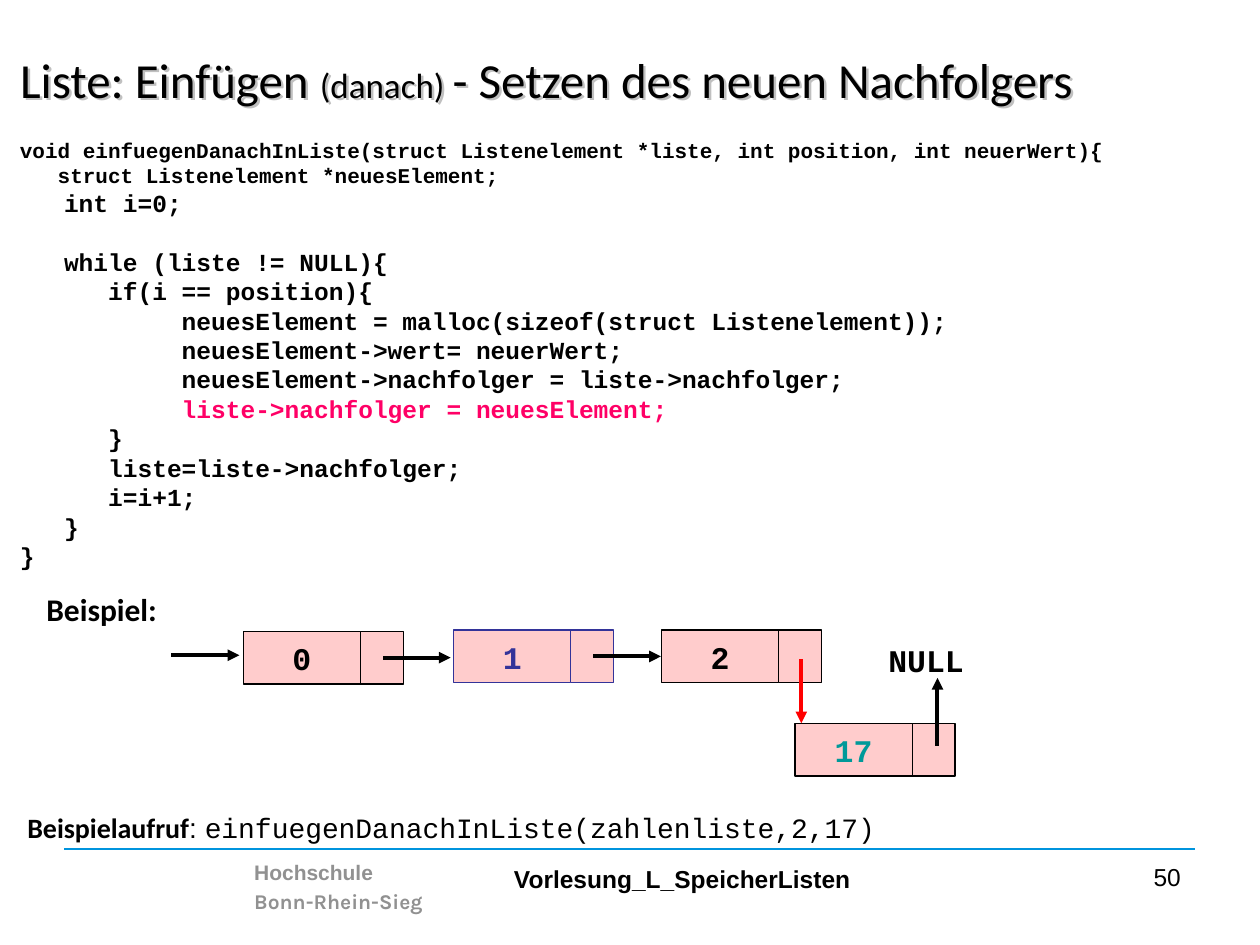
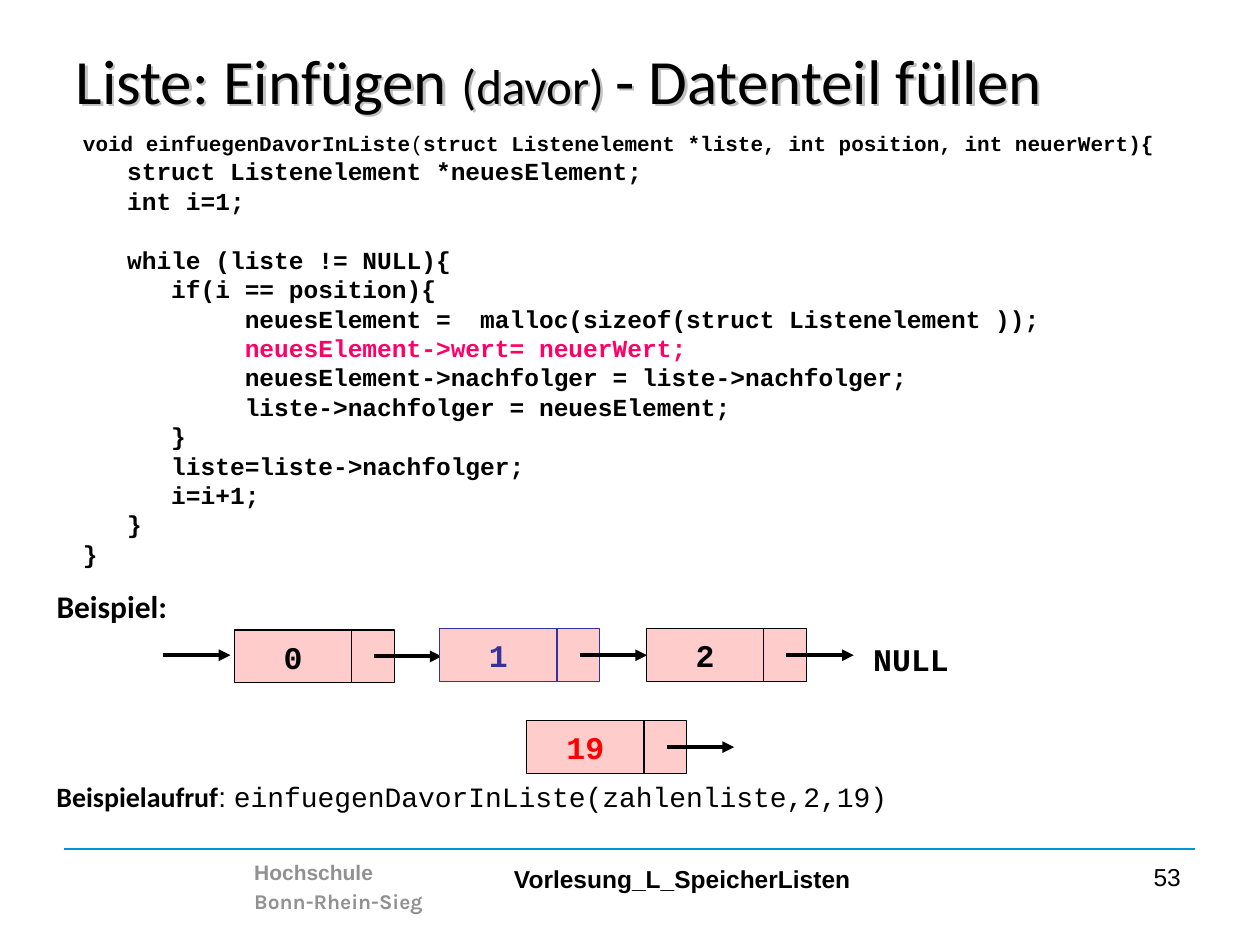
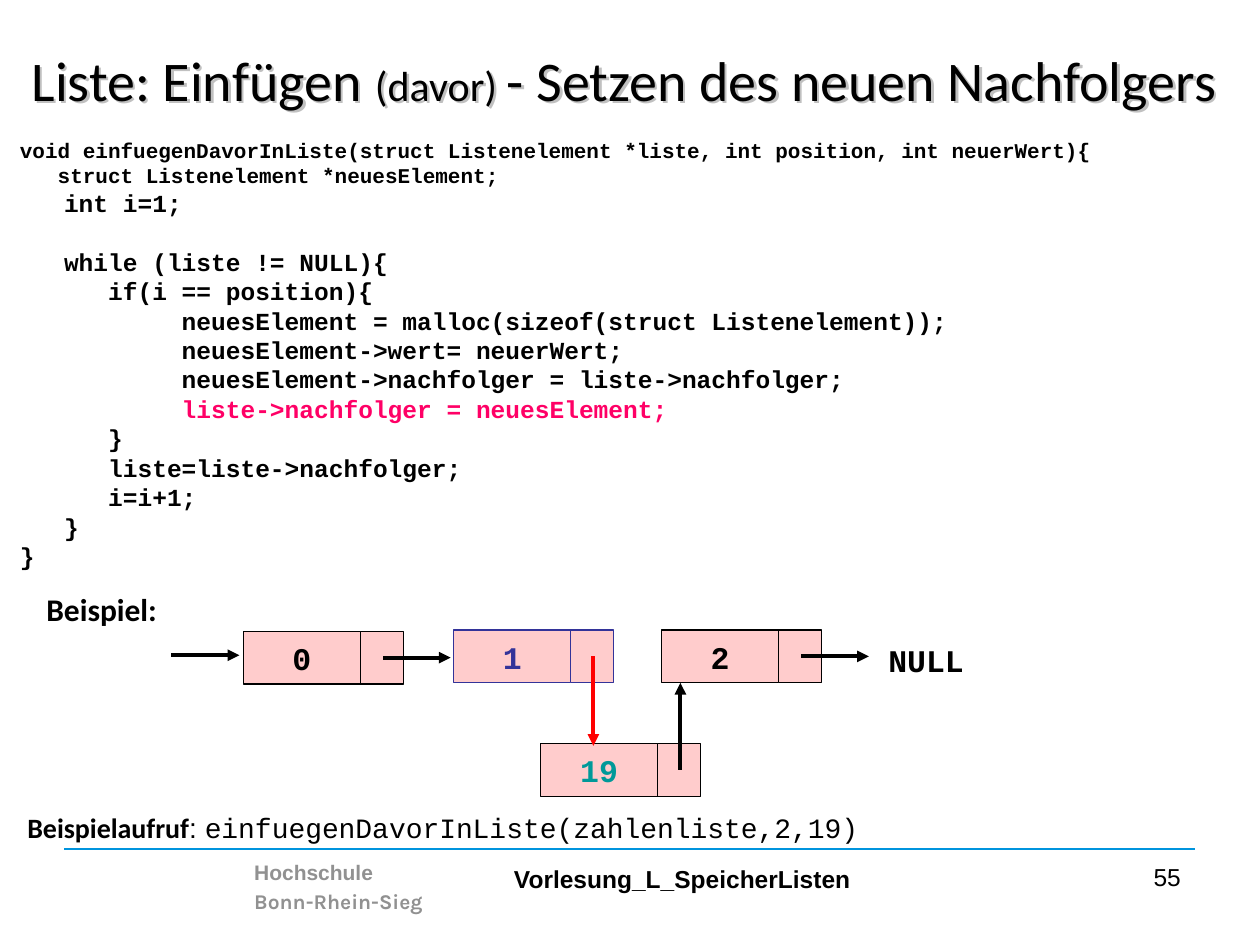
"""Build three slides on inserting elements into a linked list."""
from lxml.etree import SubElement
from pptx import Presentation
from pptx.dml.color import RGBColor
from pptx.enum.shapes import MSO_CONNECTOR as Connector, MSO_SHAPE as Shape
from pptx.enum.text import MSO_ANCHOR as Anchor, MSO_AUTO_SIZE as AutoSize, PP_ALIGN as Align
from pptx.oxml import parse_xml
from pptx.oxml.ns import nsdecls, qn
from pptx.util import Pt

BLACK = RGBColor(0x00, 0x00, 0x00)
WHITE = RGBColor(0xFF, 0xFF, 0xFF)
BLUE = RGBColor(0x00, 0x94, 0xDD)
GREY = RGBColor(0x91, 0x91, 0x91)
SILVER = RGBColor(0xC0, 0xC0, 0xC0)
PINK = RGBColor(0xFF, 0xCC, 0xCC)
INDIGO = RGBColor(0x33, 0x33, 0x99)
TEAL = RGBColor(0x00, 0x99, 0x99)
RED = RGBColor(0xFF, 0x00, 0x00)
MAGENTA = RGBColor(0xFF, 0x00, 0x66)
SANS, HEADING, CODE = "Arial", "Calibri", "Courier New"
NODE_WIDTH, VALUE_WIDTH, NODE_HEIGHT = 89.3, 67, 30.2
POINTER_SHIFT, LINK_START, LINK_LENGTH = 2.2, 79.9, 38.6


def add_span(para, text, size=14, color=BLACK, bold=False, font=SANS):
    """Append a formatted run to a paragraph."""
    span = para.add_run()
    span.text = text
    span.font.size, span.font.bold, span.font.name = Pt(size), bold, font
    span.font.color.rgb = color


def add_label(page, left, top, width, height, spans, wrap=False, align=Align.LEFT):
    """Add a text box holding one paragraph of (text, format) spans."""
    box = page.shapes.add_textbox(Pt(left), Pt(top), Pt(width), Pt(height))
    frame = box.text_frame
    frame.word_wrap = wrap
    frame.auto_size = AutoSize.NONE if wrap else AutoSize.SHAPE_TO_FIT_TEXT
    para = frame.paragraphs[0]
    para.alignment = align
    for text, style in spans:
        add_span(para, text, **style)
    return frame


def add_block(page, left, top, width, height, fill, line=None):
    """Add a flat filled rectangle with an optional thin outline."""
    block = page.shapes.add_shape(Shape.RECTANGLE, Pt(left), Pt(top), Pt(width), Pt(height))
    block.shadow.inherit = False
    block.fill.solid()
    block.fill.fore_color.rgb = fill
    if line is None:
        block.line.fill.background()
    else:
        block.line.color.rgb = line
        block.line.width = Pt(0.75)
    return block


def add_line(page, start, end, color=BLACK, width=2.25, arrow=True):
    """Add a straight line, by default with an arrowhead at its end."""
    line = page.shapes.add_connector(Connector.STRAIGHT, *map(Pt, start + end))
    line.line.color.rgb = color
    line.line.width = Pt(width)
    if arrow:
        SubElement(line.line._get_or_add_ln(), qn("a:tailEnd"), type="triangle")
    SubElement(line._element.spPr, qn("a:effectLst"))


def add_node(page, left, top, value, ink=BLACK, line=BLACK, linked=False):
    """Add a list element with value and pointer cells and an optional link."""
    add_block(page, left + POINTER_SHIFT, top, NODE_WIDTH, NODE_HEIGHT, PINK, line)
    cell = add_block(page, left, top, VALUE_WIDTH, NODE_HEIGHT, PINK, line)
    frame = cell.text_frame
    frame.word_wrap = False
    frame.vertical_anchor = Anchor.MIDDLE
    para = frame.paragraphs[0]
    para.alignment = Align.CENTER
    add_span(para, value, size=18, color=ink, bold=True, font=CODE)
    if linked:
        start, middle = left + LINK_START, top + NODE_HEIGHT / 2
        add_line(page, (start, middle), (start + LINK_LENGTH, middle))


def add_title(page, left, width, size, small, note, topic):
    """Fill the title placeholder with a shadowed topic and a smaller note."""
    title = page.shapes.title
    title.left, title.top, title.width, title.height = map(Pt, (left, 20.2, width, 49.7))
    title.fill.background()
    title._element.spPr.append(parse_xml(
        f'<a:effectLst {nsdecls("a")}><a:outerShdw dist="25400" dir="2700000" algn="ctr">'
        f'<a:srgbClr val="{SILVER}"/></a:outerShdw></a:effectLst>'))
    frame = title.text_frame
    frame.auto_size = AutoSize.NONE
    frame.word_wrap = True
    frame.vertical_anchor = Anchor.MIDDLE
    para = frame.paragraphs[0]
    para.alignment = Align.LEFT
    for text, points in (("Liste: Einfügen ", size), (f"({note}) ", small), (f"- {topic}", size)):
        add_span(para, text, size=points, font=HEADING)


def add_footer(page, number):
    """Add the institution, rule, lecture name and page number."""
    school = add_label(page, 138.2, 485.3, 182.2, 40.3,
                       [("Hochschule", dict(size=12, color=GREY, bold=True))], wrap=True)
    add_span(school.add_paragraph(), "Bonn-Rhein-Sieg", size=12, color=GREY, bold=True, font="Karla")
    for para in school.paragraphs:
        para.line_spacing = 1.15
    add_line(page, (36.7, 485.3), (682.6, 485.3), BLUE, width=1, arrow=False)
    add_label(page, 286.6, 490.3, 220, 23.8,
              [("Vorlesung_L_SpeicherListen", dict(bold=True))], wrap=True)
    add_label(page, 524.2, 488.9, 157.7, 26.6, [(number, {})], wrap=True, align=Align.RIGHT)


def add_listing(page, left, top, width, height, name, start, marked,
                allocation="= malloc(sizeof(struct Listenelement));", small_lines=2, plain_bracket=False):
    """Add the insertion function with one marked statement."""
    lines = [
        f"void {name}(struct Listenelement *liste, int position, int neuerWert){{",
        "   struct Listenelement *neuesElement;",
        f"   int i={start};",
        "   while (liste != NULL){",
        "      if(i == position){",
        f"           neuesElement {allocation}",
        "           neuesElement->wert= neuerWert;",
        "           neuesElement->nachfolger = liste->nachfolger;",
        "           liste->nachfolger = neuesElement;",
        "      }",
        "      liste=liste->nachfolger;",
        "      i=i+1;",
        "   }",
        "}",
    ]
    box = add_block(page, left, top, width, height, WHITE)
    frame = box.text_frame
    frame.word_wrap = True
    frame.auto_size = AutoSize.SHAPE_TO_FIT_TEXT
    frame.vertical_anchor = Anchor.TOP
    for index, line in enumerate(lines):
        para = frame.add_paragraph() if index else frame.paragraphs[0]
        para.alignment = Align.LEFT
        if line.strip().startswith("while"):
            para.space_before = Pt(17)
        size = 12 if index < small_lines else 14
        color = MAGENTA if line.strip() == marked else BLACK
        parts = line.partition("(") if plain_bracket and index == 0 else (line,)
        for part in parts:
            add_span(para, part, size=size, color=color, bold=part != "(", font=CODE)


def add_captions(page, example, call, call_text):
    """Add the example heading and the sample call."""
    add_label(page, *example, 78.5, 28.8, [("Beispiel:", dict(size=18, bold=True, font=HEADING))])
    add_label(page, *call, 506.2, 26.6, [
        ("Beispielaufruf", dict(size=16, bold=True, font=HEADING)),
        (": ", dict(size=16)),
        (call_text, dict(size=16, font=CODE)),
    ])


def add_chain(page, lefts, top, links, null_at):
    """Add the elements 0, 1 and 2 with the entry arrow and the NULL end."""
    first = lefts[0]
    add_line(page, (first - 41, 374.4), (first - 2.2, 374.4))
    for index, (left, linked) in enumerate(zip(lefts, links)):
        tone = INDIGO if index == 1 else BLACK
        drop = 0 if index else 0.7
        add_node(page, left, top + drop, str(index), tone, tone, linked)
    add_label(page, *null_at, 57.6, 28.8, [("NULL", dict(size=18, bold=True, font=CODE))],
              align=Align.CENTER)


def add_page(deck, number):
    """Add a title-only slide with the shared footer."""
    page = deck.slides.add_slide(deck.slide_layouts[5])
    add_footer(page, number)
    return page


def main():
    """Build and save the deck."""
    deck = Presentation()
    deck.slide_width, deck.slide_height = Pt(720), Pt(540)
    wide_listing = (4.3, 74.9, 715.7, 257)
    wide_chain = (139, 259.2, 378)
    example, call, null_at = (19.4, 333.4), (8.6, 459.4), (500.4, 362.9)
    successor = "Setzen des neuen Nachfolgers"
    relink = "liste->nachfolger = neuesElement;"

    page = add_page(deck, "50")
    add_title(page, 4.3, 706.3, 28, 20, "danach", successor)
    add_listing(page, *wide_listing, "einfuegenDanachInListe", 0, relink)
    add_chain(page, wide_chain, 360, (True, True, False), null_at)
    add_node(page, 454.3, 413.3, "17", TEAL)
    add_line(page, (535.7, 426.2), (535.7, 387.4))
    add_line(page, (457.9, 376.6), (457.9, 413.3), RED)
    add_captions(page, example, call, "einfuegenDanachInListe(zahlenliste,2,17)")

    page = add_page(deck, "53")
    add_title(page, 36, 648, 36, 28, "davor", "Datenteil füllen")
    add_listing(page, 40.3, 71.3, 658.8, 259.2, "einfuegenDavorInListe", 1,
                "neuesElement->wert= neuerWert;",
                allocation="=  malloc(sizeof(struct Listenelement ));",
                small_lines=1, plain_bracket=True)
    add_chain(page, (133.9, 251.3, 369.4), 359.3, (True, True, True), (491.8, 362.2))
    add_node(page, 301, 411.8, "19", RED, linked=True)
    add_captions(page, (25.2, 331.9), (25.2, 442.1), "einfuegenDavorInListe(zahlenliste,2,19)")

    page = add_page(deck, "55")
    add_title(page, 10.8, 699.8, 32, 24, "davor", successor)
    add_listing(page, *wide_listing, "einfuegenDavorInListe", 1, relink)
    add_chain(page, wide_chain, 360, (True, False, True), null_at)
    add_node(page, 308.9, 424.8, "19", TEAL)
    add_line(page, (339.1, 375.1), (339.1, 426.2), RED)
    add_line(page, (388.8, 439.9), (388.8, 390.2))
    add_captions(page, example, call, "einfuegenDavorInListe(zahlenliste,2,19)")

    deck.save("out.pptx")


if __name__ == "__main__":
    main()
